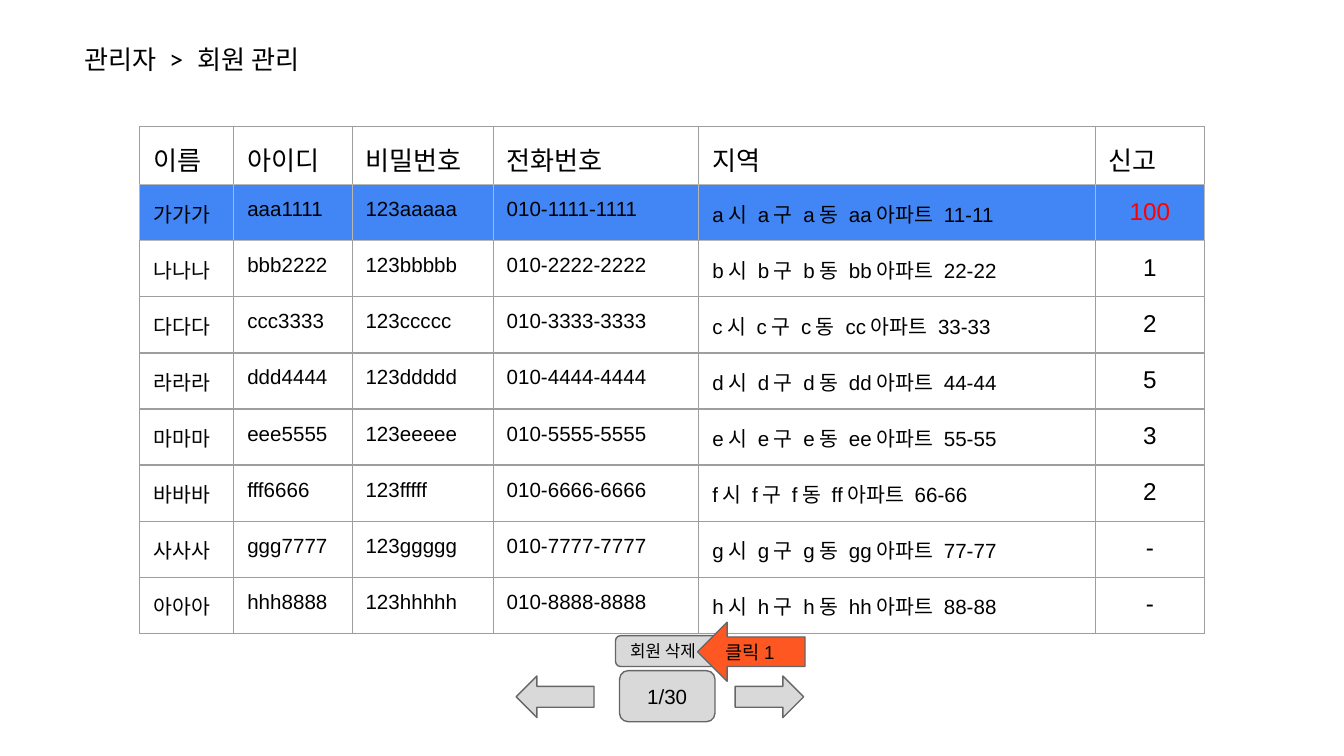
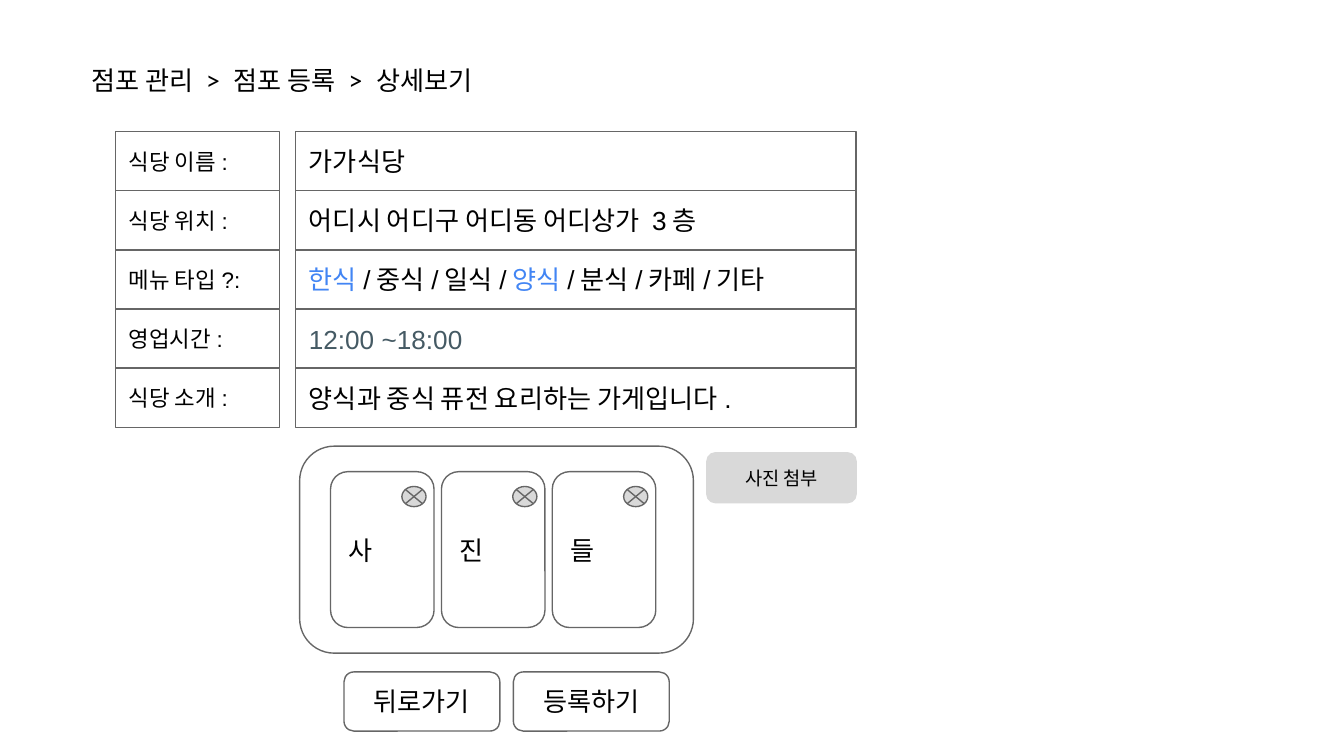
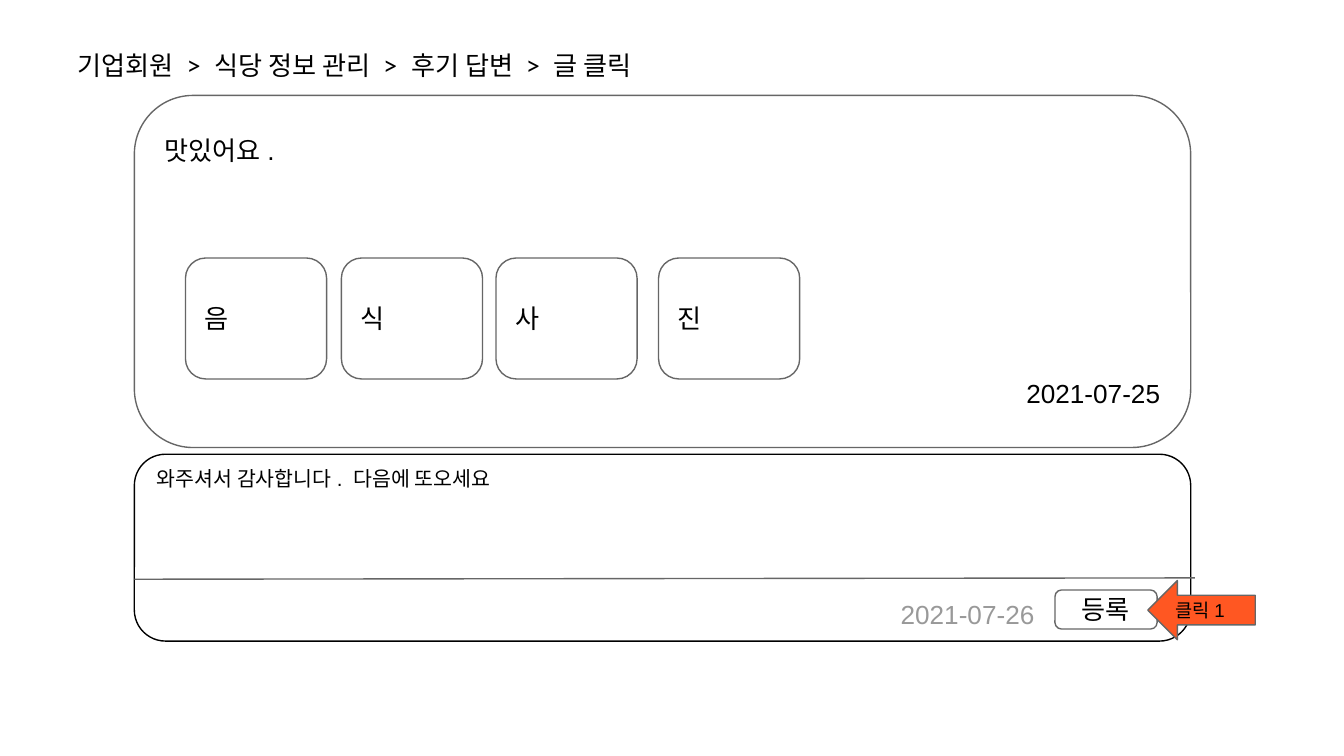
from lxml.etree import SubElement
from pptx import Presentation
from pptx.dml.color import RGBColor
from pptx.enum.shapes import MSO_CONNECTOR, MSO_SHAPE as SHAPE
from pptx.enum.text import MSO_ANCHOR as ANCHOR, MSO_AUTO_SIZE as AUTO_SIZE, PP_ALIGN as ALIGN
from pptx.oxml.ns import qn
from pptx.util import Inches, Pt

COLUMNS, ROWS = 100, 56.25
CELL = Inches(0.1)
WHITE, BLACK, BLUE, RED = "FFFFFF", "000000", "4285F4", "FF0000"
OUTLINE, GREY, ORANGE, SLATE = "666666", "D9D9D9", "FF5722", "455A64"
GRID_LINE, MARKED_LINE, FADED = "9E9E9E", "B7B7B7", "999999"
LINE_WIDTH = Pt(0.75)

MEMBER_COLUMNS = [7, 8.8, 10.5, 15.3, 29.5, 8.1]
MEMBER_HEADINGS = ["이름", "아이디", "비밀번호", "전화번호", "지역", "신고"]
MEMBERS = list(zip("가나다라마바사아", "abcdefgh", ["100", "1", "2", "5", "3", "2", "-", "-"]))

STORE_FIELDS = [
    ("식당 이름:", [("가가식당", BLACK)]),
    ("식당 위치:", [("어디시 어디구 어디동 어디상가 3층", BLACK)]),
    ("메뉴 타입?:", [("한식", BLUE), ("/중식/일식/", BLACK), ("양식", BLUE), ("/분식/카페/기타", BLACK)]),
    ("영업시간:", [("12:00 ~18:00", SLATE)]),
    ("식당 소개:", [("양식과 중식 퓨전 요리하는 가게입니다.", BLACK)]),
]


def rgb(code):
    """Turn a hex string into a colour."""
    return RGBColor.from_string(code)


def grid(*lengths):
    """Turn grid columns and rows into slide lengths."""
    return [round(length * CELL) for length in lengths]


def write(paragraph, pieces, size, align=ALIGN.LEFT, font="Arial"):
    """Fill a paragraph with (text, colour) pieces."""
    paragraph.alignment = align
    for text, color in pieces:
        run = paragraph.add_run()
        run.text = text
        run.font.size = Pt(size)
        run.font.name = font
        run.font.color.rgb = rgb(color)


def pad(target):
    """Give a text frame or table cell equal margins."""
    target.margin_left = target.margin_right = Inches(0.1)
    target.margin_top = target.margin_bottom = Inches(0.1)


def add_breadcrumb(slide, left, top, width, steps):
    """Add the page location at the top of a slide."""
    frame = slide.shapes.add_textbox(*grid(left, top, width, 4.4)).text_frame
    frame.word_wrap = True
    frame.auto_size = AUTO_SIZE.SHAPE_TO_FIT_TEXT
    pad(frame)
    write(frame.paragraphs[0], [(" > ".join(steps), BLACK)], 14, font="Lato")


def add_block(slide, kind, box, pieces=(), size=14, align=ALIGN.LEFT, fill=WHITE, line=OUTLINE):
    """Add an outlined preset shape and return its text frame."""
    block = slide.shapes.add_shape(kind, *grid(*box))
    block.shadow.inherit = False
    block.fill.solid()
    block.fill.fore_color.rgb = rgb(fill)
    block.line.color.rgb = rgb(line)
    block.line.width = LINE_WIDTH
    frame = block.text_frame
    frame.vertical_anchor = ANCHOR.MIDDLE
    pad(frame)
    if pieces:
        write(frame.paragraphs[0], pieces, size, align)
    return frame


def add_button(slide, box, label, size=14, align=ALIGN.CENTER, fill=WHITE, line=OUTLINE):
    """Add a rounded button."""
    add_block(slide, SHAPE.ROUNDED_RECTANGLE, box, [(label, BLACK)], size, align, fill, line)


def add_click_marker(slide, left, top):
    """Add the orange arrow that marks a click."""
    add_block(slide, SHAPE.LEFT_ARROW, (left, top, 8, 4.4), [("클릭1", BLACK)], 10, fill=ORANGE)


def add_divider(slide, start, end):
    """Add a thin straight line."""
    divider = slide.shapes.add_connector(MSO_CONNECTOR.STRAIGHT, *grid(*start, *end))
    divider.line.color.rgb = rgb(OUTLINE)
    divider.line.width = LINE_WIDTH
    SubElement(divider._element.spPr, qn("a:effectLst"))


def set_borders(cell, colors):
    """Draw the left, right, top and bottom borders of a cell."""
    properties = cell._tc.get_or_add_tcPr()
    for position, (side, color) in enumerate(zip("LRTB", colors)):
        border = properties.makeelement(qn(f"a:ln{side}"), {"w": str(LINE_WIDTH)})
        SubElement(SubElement(border, qn("a:solidFill")), qn("a:srgbClr"), val=color)
        properties.insert(position, border)


def member_cells(syllable, letter, number, reports):
    """Return the row of one member."""
    a, n = letter, number
    region = f"{a}시 {a}구 {a}동 {a * 2}아파트 {n * 2}-{n * 2}"
    return [syllable * 3, a * 3 + n * 4, "123" + a * 5, f"010-{n * 4}-{n * 4}", region, reports]


def border_colors(row):
    """Return the border colours around the marked first member."""
    side = MARKED_LINE if row == 1 else GRID_LINE
    top = MARKED_LINE if row in (1, 2) else GRID_LINE
    bottom = MARKED_LINE if row in (0, 1) else GRID_LINE
    return side, side, top, bottom


def add_member_table(slide):
    """Add the member list with its first member marked."""
    rows = [MEMBER_HEADINGS]
    rows += [member_cells(s, a, str(n), reports) for n, (s, a, reports) in enumerate(MEMBERS, 1)]
    box = grid(10.4, 9.4, sum(MEMBER_COLUMNS), 4.17 * len(rows))
    table = slide.shapes.add_table(len(rows), len(MEMBER_COLUMNS), *box).table
    table.first_row = table.horz_banding = False
    for column, width in zip(table.columns, grid(*MEMBER_COLUMNS)):
        column.width = width
    for r, texts in enumerate(rows):
        for c, text in enumerate(texts):
            cell = table.cell(r, c)
            is_count = r > 0 and c == len(texts) - 1
            size = 14 if r == 0 else 13 if is_count else 11
            color = RED if is_count and r == 1 else BLACK
            pad(cell)
            write(cell.text_frame.paragraphs[0], [(text, color)], size,
                  ALIGN.CENTER if is_count else ALIGN.LEFT)
            if r == 1:
                cell.fill.solid()
                cell.fill.fore_color.rgb = rgb(BLUE)
            else:
                cell.fill.background()
            set_borders(cell, border_colors(r))


def build_member_slide(slide):
    """Build the member management page."""
    add_breadcrumb(slide, 5.3, 2.2, 41.9, ["관리자", "회원 관리"])
    add_member_table(slide)
    add_block(slide, SHAPE.RIGHT_ARROW, (54.7, 50.3, 5.1, 3.1), fill=GREY)
    add_block(slide, SHAPE.LEFT_ARROW, (38.4, 50.3, 5.8, 3.1), fill=GREY)
    add_button(slide, (46.1, 49.9, 7.1, 3.8), "1/30", 11, fill=GREY)
    add_button(slide, (45.8, 47.3, 7.7, 2.3), "회원 삭제", 9, ALIGN.LEFT, GREY)
    add_click_marker(slide, 51.9, 46.3)


def build_store_slide(slide):
    """Build the store detail page."""
    add_breadcrumb(slide, 5.8, 3.8, 60.7, ["점포 관리", "점포 등록", "상세보기"])
    for row, (label, value) in enumerate(STORE_FIELDS):
        top = 9.8 + 4.4 * row
        add_block(slide, SHAPE.RECTANGLE, (8.6, top, 12.2, 4.4), [(label, BLACK)], 12)
        add_block(slide, SHAPE.RECTANGLE, (22, top, 41.7, 4.4), value)
    add_button(slide, (52.6, 33.7, 11.1, 3.7), "사진 첨부", 10, fill=GREY, line=GREY)
    add_block(slide, SHAPE.ROUNDED_RECTANGLE, (22.3, 33.2, 29.3, 15.4))
    for column, syllable in enumerate("사진들"):
        left = 24.6 + 8.25 * column
        add_button(slide, (left, 35.1, 7.7, 11.6), syllable, align=ALIGN.LEFT)
        add_block(slide, SHAPE.FLOWCHART_SUMMING_JUNCTION, (left + 5.3, 36.2, 1.8, 1.5), fill=GREY)
    for column, label in enumerate(["뒤로가기", "등록하기"]):
        add_button(slide, (25.6 + 12.6 * column, 50, 11.6, 4.4), label)


def build_review_slide(slide):
    """Build the review reply page."""
    add_breadcrumb(slide, 4.8, 2.7, 47.1, ["기업회원", "식당 정보 관리", "후기 답변", "글 클릭"])
    review = add_block(slide, SHAPE.ROUNDED_RECTANGLE, (10, 7.1, 78.6, 26.2), [("맛있어요.", BLACK)])
    review_date = review.add_paragraph()
    review_date.space_before = Pt(113)
    write(review_date, [("2021-07-25", BLACK)], 14, ALIGN.RIGHT)
    for left, syllable in zip([13.8, 25.4, 36.9, 49], "음식사진"):
        add_block(slide, SHAPE.FLOWCHART_ALTERNATE_PROCESS, (left, 19.2, 10.5, 9), [(syllable, BLACK)])
    reply = add_block(slide, SHAPE.ROUNDED_RECTANGLE, (10, 33.8, 78.6, 13.9),
                      [("와주셔서 감사합니다. 다음에 또오세요", BLACK)], 11, line=BLACK)
    reply_date = reply.add_paragraph()
    reply_date._p.get_or_add_pPr().set("marL", str(Inches(4.54)))
    reply_date.space_before = Pt(57.5)
    write(reply_date, [("2021-07-26", FADED)], 14, ALIGN.CENTER)
    add_button(slide, (78.5, 43.9, 7.6, 2.9), "등록")
    add_divider(slide, (10, 43.1), (88.9, 43))
    add_click_marker(slide, 85.4, 43.2)


def main():
    """Build and save the presentation."""
    deck = Presentation()
    deck.slide_width, deck.slide_height = grid(COLUMNS, ROWS)
    for build in (build_member_slide, build_store_slide, build_review_slide):
        build(deck.slides.add_slide(deck.slide_layouts[6]))
    deck.save("out.pptx")


if __name__ == "__main__":
    main()
